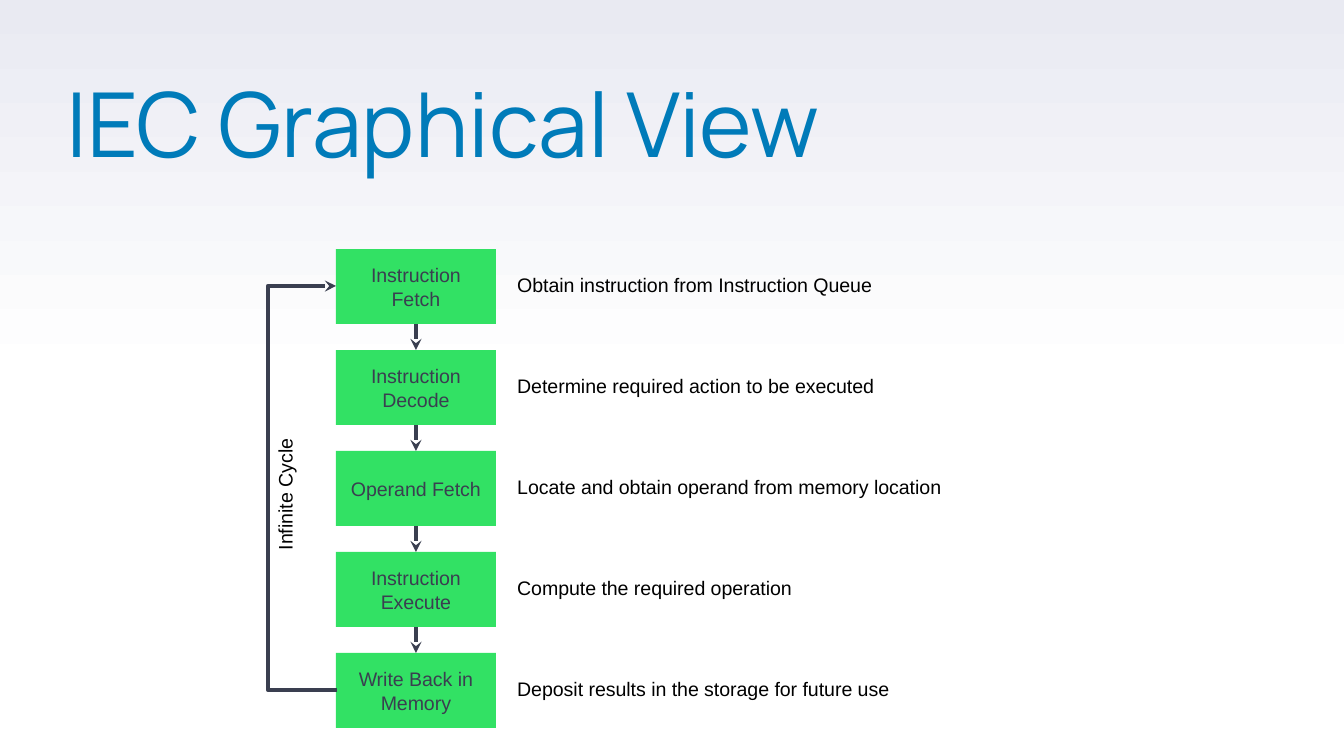
from copy import deepcopy

from lxml.etree import SubElement
from pptx import Presentation
from pptx.dml.color import RGBColor
from pptx.enum.shapes import MSO_CONNECTOR, MSO_SHAPE
from pptx.enum.text import MSO_ANCHOR, MSO_AUTO_SIZE, PP_ALIGN
from pptx.oxml.ns import qn
from pptx.util import Pt

TITLE = "IEC Graphical View"
CYCLE = "Infinite Cycle"
# stage, description, description width
STAGES = [
    ("Instruction Fetch", "Obtain instruction from Instruction Queue", 388),
    ("Instruction Decode", "Determine required action to be executed", 391),
    ("Operand Fetch", "Locate and obtain operand from memory location", 460),
    ("Instruction Execute", "Compute the required operation", 308),
    ("Write Back in Memory", "Deposit results in the storage for future use", 406),
]
BACKGROUND = [(0, "FFFFFF"), (0.5, "FFFFFF"), (1, "E9EAF2")]
BLUE, GREEN, SLATE, BLACK = "007BB9", "32E164", "3A3F50", "000000"

# Layout in px
BOX_X, BOX_Y, BOX_W, BOX_H, PITCH = 336, 249, 160, 75, 101
TEXT_X, TEXT_H, LOOP_X = 504, 38, 268


def px(n):
    return round(n * 914400 / 134.4)


def rgb(value):
    return RGBColor.from_string(value)


def write(tf, text, size=10.5, font="Arial", color=BLACK, align=None, spacing=None):
    p = tf.paragraphs[0]
    p.alignment, p.line_spacing = align, spacing
    r = p.add_run()
    r.text = text
    r.font.size, r.font.name = Pt(size), font
    r.font.color.rgb = rgb(color)


def add_box(y, text):
    sp = s.shapes.add_shape(MSO_SHAPE.RECTANGLE, px(BOX_X), px(y), px(BOX_W), px(BOX_H))
    sp.shadow.inherit = False
    sp.fill.solid()
    sp.fill.fore_color.rgb = rgb(GREEN)
    sp.line.fill.background()
    sp.text_frame.vertical_anchor = MSO_ANCHOR.MIDDLE
    write(sp.text_frame, text, color=SLATE, align=PP_ALIGN.CENTER)


def add_label(x, y, w, text, rotation=0):
    sp = s.shapes.add_textbox(px(x), px(y), px(w), px(TEXT_H))
    sp.rotation = rotation
    sp.text_frame.word_wrap = False
    sp.text_frame.auto_size = MSO_AUTO_SIZE.SHAPE_TO_FIT_TEXT
    write(sp.text_frame, text)


def add_arrow(kind, x1, y1, x2, y2):
    c = s.shapes.add_connector(kind, px(x1), px(y1), px(x2), px(y2))
    c.line.color.rgb = rgb(SLATE)
    c.line.width = Pt(2)
    SubElement(c.line._get_or_add_ln(), qn("a:tailEnd"), type="stealth")
    SubElement(c._element.spPr, qn("a:effectLst"))
    return c


prs = Presentation()
prs.slide_width, prs.slide_height = px(1344), px(756)
s = prs.slides.add_slide(prs.slide_layouts[5])

# Background, fading upwards
fill = s.background.fill
fill.gradient()
fill.gradient_angle = 90
stops = s._element.xpath(".//p:bg//a:gsLst")[0]
stops.insert(1, deepcopy(stops[0]))
for stop, (position, color) in zip(fill.gradient_stops, BACKGROUND):
    stop.position = position
    stop.color.rgb = rgb(color)

# Title
title = s.shapes.title
title.left, title.top, title.width, title.height = px(67), px(89), px(1204), px(159)
tf = title.text_frame
tf.margin_left = tf.margin_right = tf.margin_top = tf.margin_bottom = 0
tf.vertical_anchor = MSO_ANCHOR.TOP
tf.auto_size = MSO_AUTO_SIZE.NONE
write(tf, TITLE, size=48, font="Manrope", color=BLUE, align=PP_ALIGN.LEFT, spacing=0.8)

# Stages, descriptions and the arrows between stages
mid_x = BOX_X + BOX_W // 2
for i, (stage, description, width) in enumerate(STAGES):
    y = BOX_Y + i * PITCH
    add_box(y, stage)
    add_label(TEXT_X, y + 17, width, description)
    if i:
        add_arrow(MSO_CONNECTOR.STRAIGHT, mid_x, y - PITCH + BOX_H, mid_x, y)

# Loop from the last stage back to the first: a 1 px wide elbow, turned half round
first_y = BOX_Y + BOX_H // 2
last_y = first_y + (len(STAGES) - 1) * PITCH
loop = add_arrow(MSO_CONNECTOR.ELBOW, BOX_X, first_y, BOX_X + 1, last_y)
loop._element.spPr.xfrm.set("rot", str(180 * 60000))
guides = loop._element.xpath(".//a:avLst")[0]
reach = (BOX_X + 1 - LOOP_X) * 100000
SubElement(guides, qn("a:gd"), name="adj1", fmla=f"val {reach}")
add_label(215, 474, 141, CYCLE, rotation=270)

prs.save("out.pptx")
